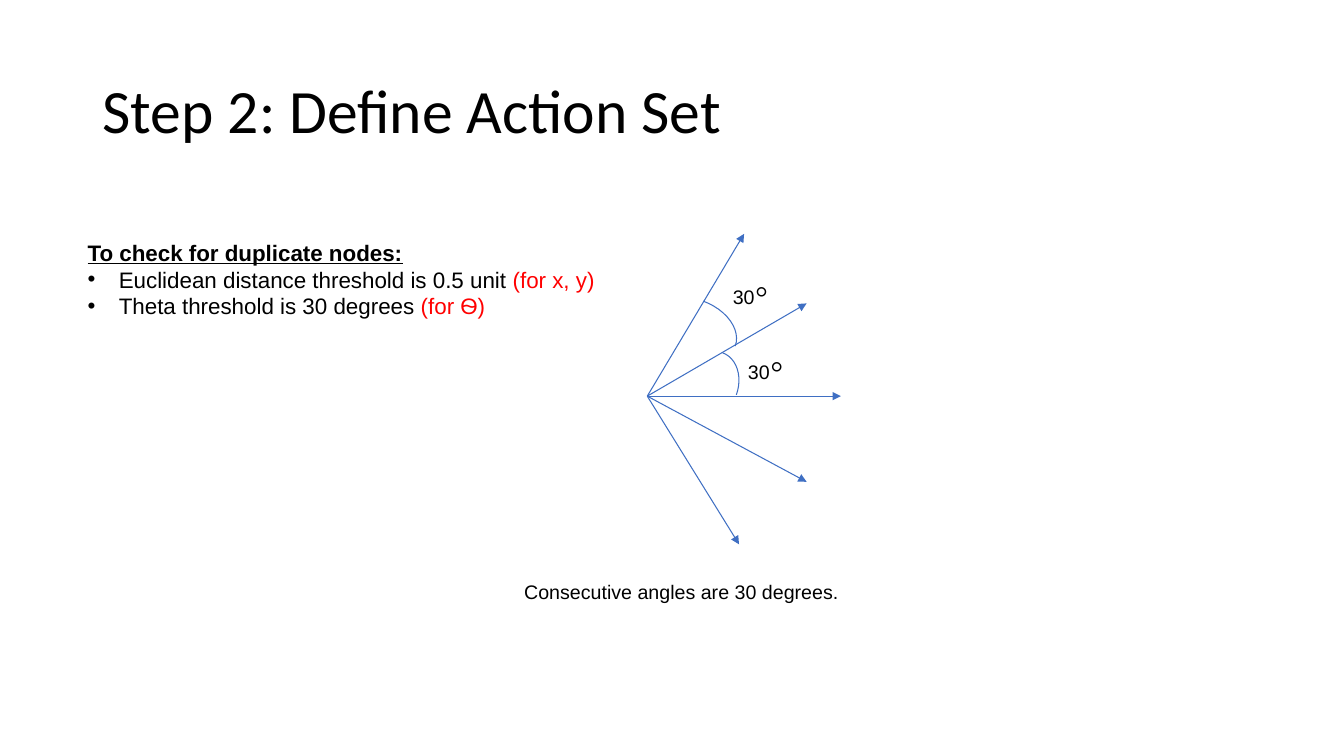
import pptx
import pptx.util
import pptx.dml.color
import pptx.enum.shapes
import pptx.enum.text
import pptx.oxml.ns
import lxml.etree

Inches = pptx.util.Inches
Pt = pptx.util.Pt
BLUE, RED, BLACK = "3F6FC3", "FF0000", "000000"


def color(hex_text):
    """Return the RGB colour of a hex string."""
    return pptx.dml.color.RGBColor.from_string(hex_text)


def sub(parent, tag, **attrs):
    """Append a drawing element with attributes and return it."""
    return lxml.etree.SubElement(parent, pptx.oxml.ns.qn(tag), attrs)


def add_run(p, text, size=14, font="Arial", fill=BLACK, bold=False, underline=False):
    """Add one formatted run to a paragraph."""
    r = p.add_run()
    r.text = text
    r.font.size, r.font.name = Pt(size), font
    r.font.bold, r.font.underline = bold, underline
    r.font.color.rgb = color(fill)


def add_box(s, box, anchor=pptx.enum.text.MSO_ANCHOR.TOP):
    """Add a wrapping text box and return its text frame."""
    tf = s.shapes.add_textbox(*map(Inches, box)).text_frame
    tf.word_wrap = True
    tf.vertical_anchor = anchor
    return tf


def set_bullet(p, indent=0.31):
    """Give a paragraph a black round bullet and a hanging indent."""
    ppr = p._p.get_or_add_pPr()
    ppr.set("marL", str(Inches(indent)))
    ppr.set("indent", str(-Inches(indent)))
    sub(sub(ppr, "a:buClr"), "a:srgbClr", val=BLACK)
    sub(ppr, "a:buFont", typeface="Arial")
    sub(ppr, "a:buChar", char="•")


def add_title(s, box):
    """Place the slide title."""
    p = add_box(s, box, pptx.enum.text.MSO_ANCHOR.MIDDLE).paragraphs[0]
    p.line_spacing = 0.9
    add_run(p, "Step 2: Define Action Set", size=44, font="Calibri")


def add_checks(s, box):
    """Place the heading and thresholds for duplicate nodes."""
    tf = add_box(s, box)
    add_run(tf.paragraphs[0], "To check for duplicate nodes:", size=16,
            bold=True, underline=True)
    for rule, scope in (("Euclidean distance threshold is 0.5 unit ", "(for x, y)"),
                        ("Theta threshold is 30 degrees ", "(for Ѳ)")):
        p = tf.add_paragraph()
        set_bullet(p)
        add_run(p, rule, size=16)
        add_run(p, scope, size=16, fill=RED)


def add_arrow(s, start, end):
    """Draw a thin arrow between two points."""
    sp = s.shapes.add_connector(pptx.enum.shapes.MSO_CONNECTOR.STRAIGHT,
                                *map(Inches, start + end))
    sp.line.color.rgb, sp.line.width = color(BLUE), Pt(0.75)
    sub(sp.line._get_or_add_ln(), "a:tailEnd", type="triangle")
    sub(sp._element.spPr, "a:effectLst")


def add_angle(s, arc_box, label_box):
    """Draw an angle arc with its 30 degree label."""
    sp = s.shapes.add_shape(pptx.enum.shapes.MSO_SHAPE.ARC, *map(Inches, arc_box))
    sp.rotation = 20
    sp.shadow.inherit = False
    sp.fill.background()
    sp.line.color.rgb, sp.line.width = color(BLUE), Pt(0.75)
    p = add_box(s, label_box).paragraphs[0]
    add_run(p, "30")
    add_run(p, "◦", size=28)


def add_action_fan(s, box):
    """Draw the five actions from one node, with angles and caption."""
    x, y = box[:2]
    node = (x, y + 1.61)
    for dx, dy in ((0.96, 0), (1.58, 0.69), (1.92, 1.61), (1.58, 2.46), (0.91, 3.08)):
        add_arrow(s, node, (x + dx, y + dy))
    add_angle(s, (x + 0.36, y + 1.16, 0.54, 0.69), (x + 0.9, y + 1.01, 1.17, 0.57))
    add_angle(s, (x, y + 0.65, 0.9, 0.62), (x + 0.75, y + 0.26, 1.17, 0.57))
    caption = add_box(s, (x - 1.32, y + 3.38, 3.57, 0.34))
    add_run(caption.paragraphs[0], "Consecutive angles are 30 degrees.")


prs = pptx.Presentation()
prs.slide_width, prs.slide_height = Inches(13.33), Inches(7.5)
s = prs.slides.add_slide(prs.slide_layouts[6])
add_title(s, (0.92, 0.4, 11.5, 1.45))
add_action_fan(s, (6.42, 2.32, 1.92, 3.08))
add_checks(s, (0.77, 2.32, 5.95, 0.91))
prs.save("out.pptx")
